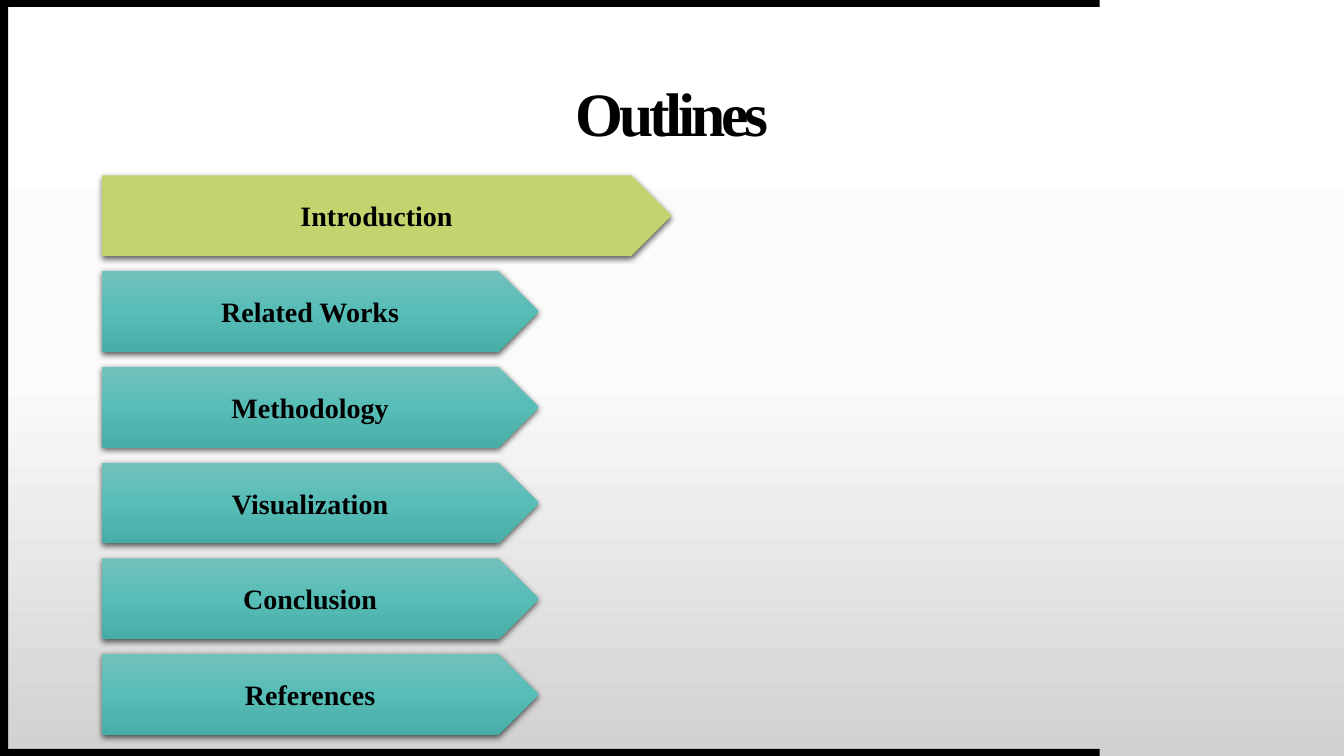
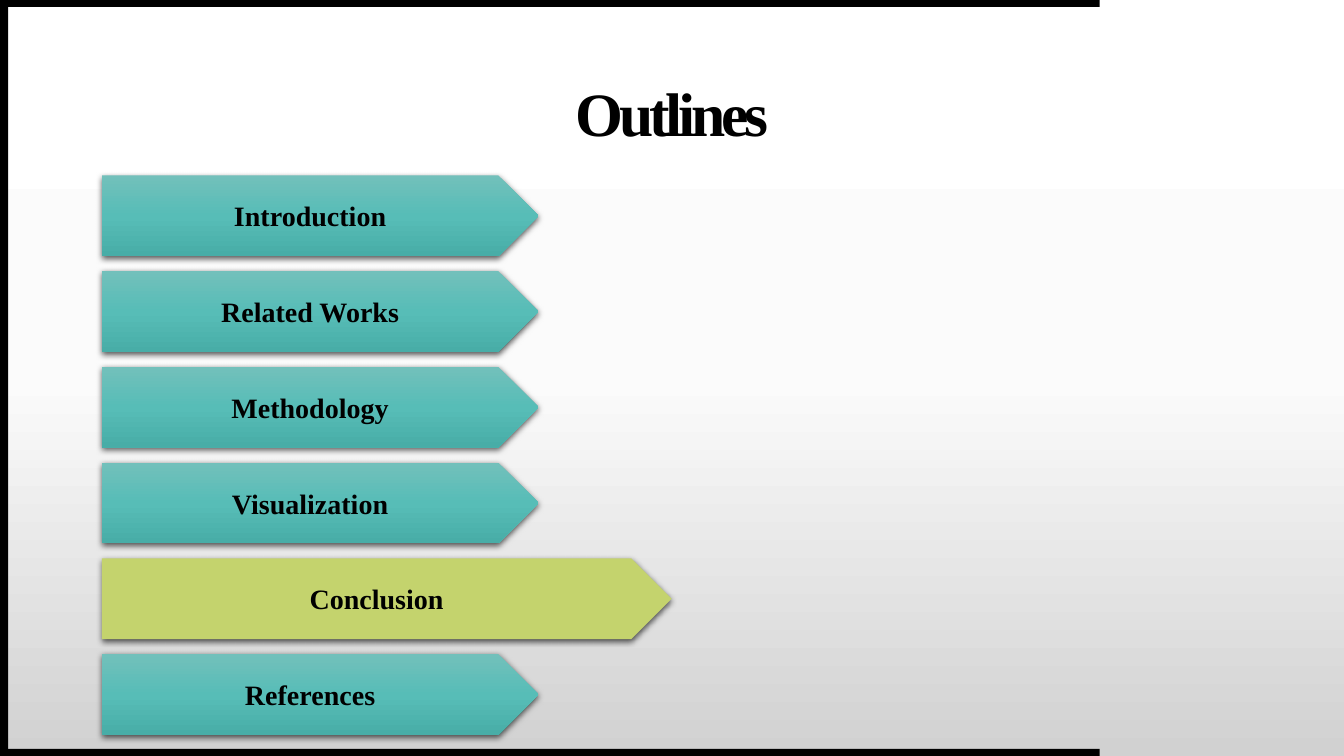
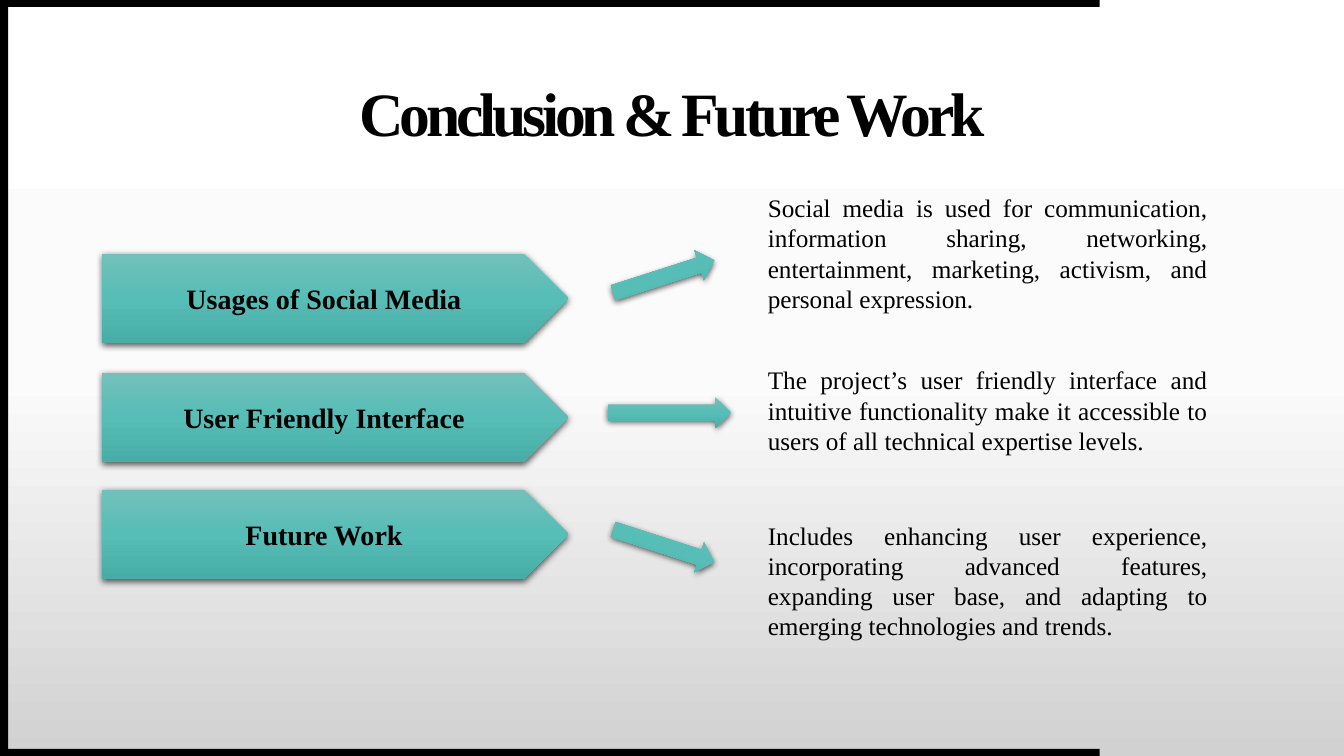
from typing import NamedTuple

from lxml.etree import SubElement
from pptx import Presentation
from pptx.dml.color import RGBColor
from pptx.enum.shapes import MSO_SHAPE
from pptx.enum.text import MSO_ANCHOR, MSO_AUTO_SIZE, PP_ALIGN
from pptx.oxml.ns import qn
from pptx.util import Pt

FONT = "Times New Roman"
BLACK = "000000"
LIME = "C4D36D"
TEAL = ("72C0BB", "57BDB7", "48ADA7")
BACKDROP = ("FFFFFF", "FBFBFB", "D1D1D1")
SECTIONS = ("Introduction", "Related Works", "Methodology",
            "Visualization", "Conclusion", "References")


class Box(NamedTuple):
    """A rectangle in points."""
    left: float
    top: float
    width: float
    height: float

    def inner(self, left, top, width, height):
        """Return a box placed relative to this one's corner."""
        return Box(self.left + left, self.top + top, width, height)

    def lengths(self):
        """Return the four sides as lengths."""
        return [Pt(value) for value in self]


class Topic(NamedTuple):
    """A heading, its explanation and the offsets from the row's top."""
    heading: str
    detail: str
    top: float
    detail_top: float
    detail_height: float
    arrow: tuple
    turn: float


TITLE_BOX = Box(72.7, 34.5, 815, 91.5)
OUTLINE_BOX = Box(72.7, 125.3, 407, 400)
TOPICS_BOX = Box(72.7, 181.4, 797, 300)
TOPICS = (
    Topic("Usages of Social Media",
          "Social media is used for communication, information sharing, networking, "
          "entertainment, marketing, activism, and personal expression.",
          0, -47.5, 94.3, (363.6, 5, 75.6, 22.3), -17.8),
    Topic("User Friendly Interface",
          "The project’s user friendly interface and intuitive functionality make it "
          "accessible to users of all technical expertise levels.",
          85, -9.4, 72.7, (361.5, 17.3, 87.8, 22.3), 0),
    Topic("Future Work",
          "Includes enhancing user experience, incorporating advanced features, "
          "expanding user base, and adapting to emerging technologies and trends.",
          168.5, 18, 94.3, (363.6, 28.8, 75.6, 22.3), 17.9),
)


def color(code):
    """Turn a hex string into a colour."""
    return RGBColor.from_string(code)


def paint(fill, owner, shade):
    """Fill with one colour, or with a downward gradient of evenly spaced colours."""
    if isinstance(shade, str):
        fill.solid()
        fill.fore_color.rgb = color(shade)
        return
    fill.gradient()
    fill.gradient_angle = 270
    stops = owner.find(".//" + qn("a:gsLst"))
    for stop in list(stops):
        stops.remove(stop)
    for index, code in enumerate(shade):
        position = 100000 * index // (len(shade) - 1)
        stop = SubElement(stops, qn("a:gs"), pos=str(position))
        SubElement(stop, qn("a:srgbClr"), val=code)


def write(shape, text, size, align, bold=False):
    """Put one formatted run in the first paragraph and return it."""
    para = shape.text_frame.paragraphs[0]
    para.alignment = align
    span = para.add_run()
    span.text = text
    span.font.name = FONT
    span.font.size = Pt(size)
    span.font.bold = bold
    span.font.color.rgb = color(BLACK)
    return span


def add_block(page, kind, box, shade):
    """Add a preset shape with a fill, no outline and no shadow."""
    block = page.shapes.add_shape(kind, *box.lengths())
    paint(block.fill, block.element, shade)
    block.line.fill.background()
    block.shadow.inherit = False
    return block


def add_raised(page, kind, box, shade):
    """Add a block with a soft shadow below it."""
    block = add_block(page, kind, box, shade)
    effects = block.element.spPr.find(qn("a:effectLst"))
    shadow = SubElement(effects, qn("a:outerShdw"), blurRad=str(Pt(4.5)),
                        dist=str(Pt(1.5)), dir="5400000", algn="ctr", rotWithShape="0")
    tint = SubElement(shadow, qn("a:srgbClr"), val=BLACK)
    SubElement(tint, qn("a:alpha"), val="63000")
    return block


def add_plate(page, box, text, shade=TEAL):
    """Add a labelled pentagon arrow."""
    plate = add_raised(page, MSO_SHAPE.PENTAGON, box, shade)
    plate.text_frame.word_wrap = True
    plate.text_frame.vertical_anchor = MSO_ANCHOR.MIDDLE
    write(plate, text, 20, PP_ALIGN.CENTER, bold=True)


def dress_master(master, page):
    """Give the master its backdrop and three black edge bands."""
    paint(master.background.fill, master.element, BACKDROP)
    bands = (Box(0, 535, 785.5, 5), Box(0, 0, 785.5, 5), Box(0, 0, 5.8, 540))
    for number, box in enumerate(bands, 101):
        band = add_block(page, MSO_SHAPE.RECTANGLE, box, BLACK)
        band.element.nvSpPr.cNvPr.set("id", str(number))
        master.shapes.element.insert(2, band.element)


def add_title(page, text):
    """Place and fill the title placeholder."""
    title = page.shapes.title
    title.left, title.top, title.width, title.height = TITLE_BOX.lengths()
    frame = title.text_frame
    frame.margin_left = frame.margin_right = frame.margin_top = frame.margin_bottom = 0
    frame.vertical_anchor = MSO_ANCHOR.MIDDLE
    frame.auto_size = MSO_AUTO_SIZE.NONE
    span = write(title, text, 44, PP_ALIGN.CENTER, bold=True)
    span.font._element.set("spc", "-300")


def fill_outline(page, box, current):
    """Stack the section plates, with the current one longer and lime."""
    add_title(page, "Outlines")
    for index, section in enumerate(SECTIONS):
        active = section == current
        width = box.width if active else 312
        add_plate(page, box.inner(0, 68.4 * index, width, 57.6), section,
                  LIME if active else TEAL)


def add_topic(page, box, topic):
    """Add a plate, an arrow and the explanation it points to."""
    add_plate(page, box.inner(0, 0, 333.4, box.height), topic.heading)
    arrow = add_raised(page, MSO_SHAPE.RIGHT_ARROW, box.inner(*topic.arrow), TEAL)
    arrow.rotation = topic.turn
    place = box.inner(468.7, topic.detail_top, 328.3, topic.detail_height)
    detail = page.shapes.add_textbox(*place.lengths())
    detail.text_frame.word_wrap = True
    detail.text_frame.auto_size = MSO_AUTO_SIZE.SHAPE_TO_FIT_TEXT
    write(detail, topic.detail, 18, PP_ALIGN.JUSTIFY)


def fill_conclusion(page, box):
    """Fill the closing slide with its topic rows."""
    add_title(page, "Conclusion & Future Work")
    for topic in TOPICS:
        add_topic(page, box.inner(0, topic.top, box.width, 63.4), topic)


def main():
    """Build and save the deck."""
    deck = Presentation()
    deck.slide_width, deck.slide_height = Pt(960), Pt(540)
    layout = deck.slide_layouts[5]
    opening, recap, closing = [deck.slides.add_slide(layout) for _ in range(3)]
    dress_master(deck.slide_master, opening)
    fill_outline(opening, OUTLINE_BOX, "Introduction")
    fill_outline(recap, OUTLINE_BOX, "Conclusion")
    fill_conclusion(closing, TOPICS_BOX)
    deck.save("out.pptx")


if __name__ == "__main__":
    main()
